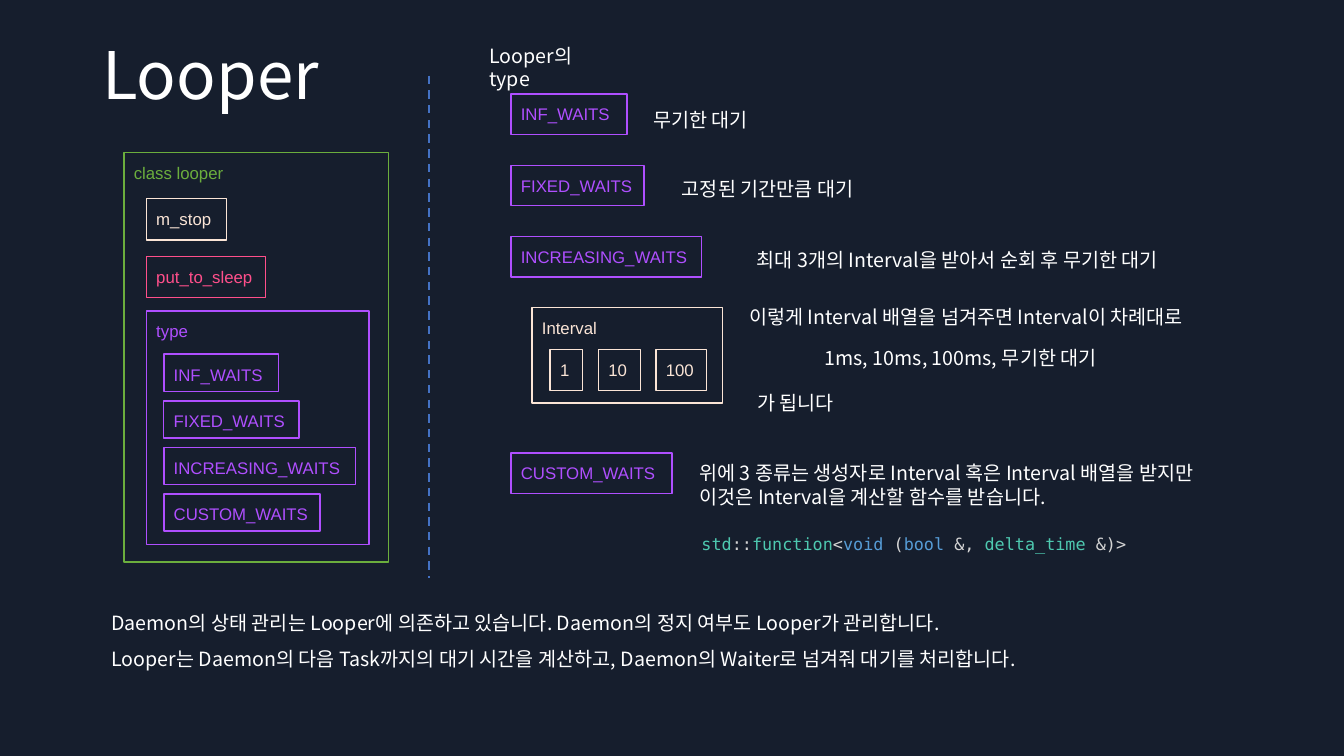
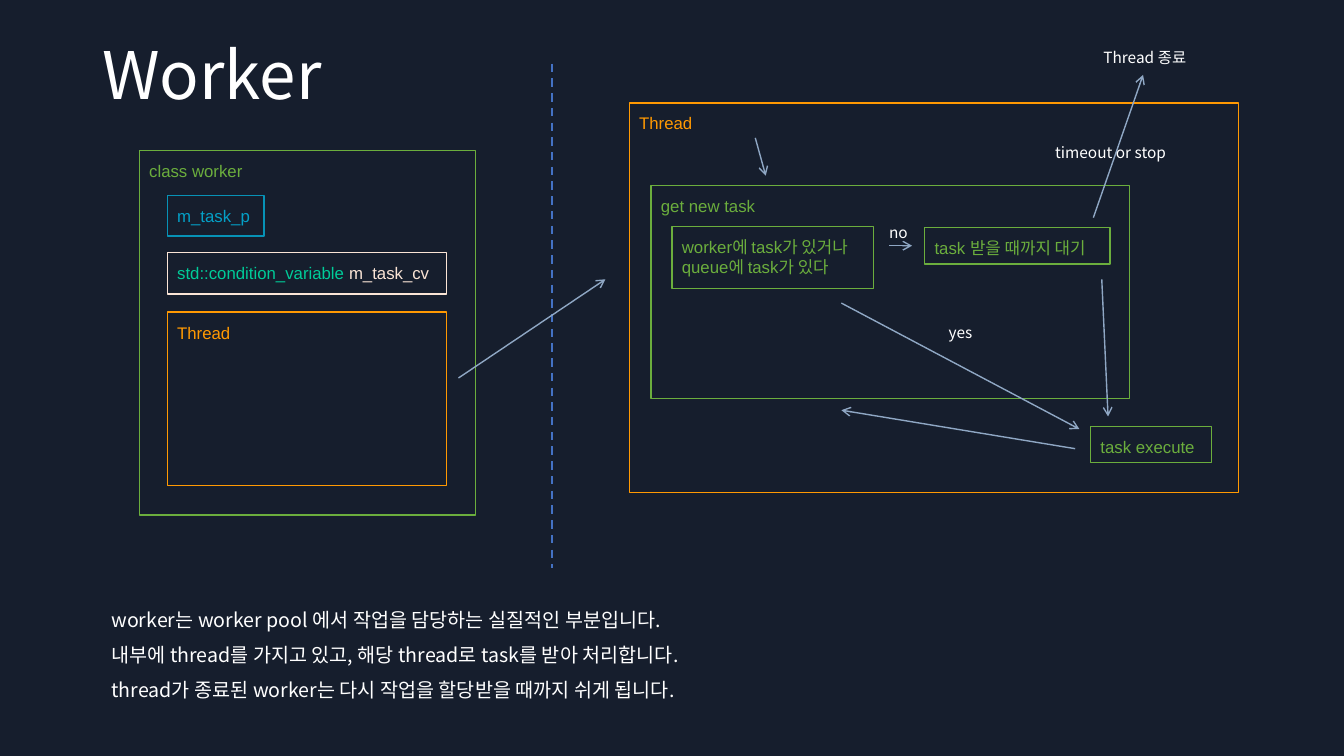
from dataclasses import dataclass

from lxml import etree
from pptx import Presentation
from pptx.dml.color import RGBColor
from pptx.enum import dml, shapes, text
from pptx.oxml import ns
from pptx.util import Pt


@dataclass(frozen=True)
class Theme:
    night: str = "161E2D"
    white: str = "FFFFFF"
    green: str = "6BAE3D"
    cream: str = "FBE5D6"
    pink: str = "FF4F8B"
    purple: str = "AF4FFF"
    orange: str = "FF9902"
    teal: str = "0792B6"
    cyan: str = "04A0C7"
    mint: str = "00CC99"
    blue: str = "4472C4"
    steel: str = "8FA7C4"
    code_plain: str = "D4D4D4"
    code_name: str = "4EC9B0"
    code_keyword: str = "569CD6"
    sans: str = "Noto Sans CJK KR"
    label: str = "Arial"
    mono: str = "DejaVu Sans Mono"
    title_size: float = 46.8
    text_size: float = 14
    label_size: float = 12
    caption_size: float = 11


THEME = Theme()


def apply(target, values):
    for name, value in values.items():
        setattr(target, name, value)


def add_element(parent, tag, **attributes):
    return etree.SubElement(parent, ns.qn(tag), attributes)


class SlideBuilder:
    def __init__(self, deck, theme):
        self.deck = deck
        self.theme = theme
        self.page = None

    def start(self, title, body, body_top):
        self.page = self.deck.slides.add_slide(self.deck.slide_layouts[6])
        fill = self.page.background.fill
        fill.solid()
        fill.fore_color.rgb = RGBColor.from_string(self.theme.night)
        self.text(66, 29, 828, [title], height=54.5, size=self.theme.title_size,
                  anchor=text.MSO_ANCHOR.BOTTOM, spacing={"line_spacing": 0.8})
        self.text(72.5, body_top, 828, body, height=78.5,
                  spacing={"line_spacing": 0.9, "space_before": Pt(10)})

    def add_lines(self, frame, lines, color, size, font, spacing):
        for index, line in enumerate(lines):
            para = frame.paragraphs[0] if index == 0 else frame.add_paragraph()
            apply(para, {"alignment": text.PP_ALIGN.LEFT, **spacing})
            spans = [(line, color)] if isinstance(line, str) else line
            for words, span_color in spans:
                for order, piece in enumerate(words.split("\n")):
                    if order:
                        para.add_line_break()
                    span = para.add_run()
                    span.text = piece
                    apply(span.font, {"name": font, "size": Pt(size)})
                    span.font.color.rgb = RGBColor.from_string(span_color)
                    add_element(span.font._element, "a:ea", typeface=self.theme.sans)

    def text(self, left, top, width, lines, height=24.5, size=None, font=None,
             anchor=text.MSO_ANCHOR.TOP, spacing=None):
        box = self.page.shapes.add_textbox(Pt(left), Pt(top), Pt(width), Pt(height))
        apply(box.text_frame, {"word_wrap": True, "vertical_anchor": anchor})
        self.add_lines(box.text_frame, lines, self.theme.white, size or self.theme.text_size,
                       font or self.theme.sans, spacing or {})

    def caption(self, left, top, width, words):
        self.text(left, top, width, [words], height=21, size=self.theme.caption_size)

    def box(self, left, top, width, height, label, color, text_color=None):
        box = self.page.shapes.add_shape(
            shapes.MSO_SHAPE.RECTANGLE, Pt(left), Pt(top), Pt(width), Pt(height))
        box.shadow.inherit = False
        box.fill.background()
        box.line.color.rgb = RGBColor.from_string(color)
        box.line.width = Pt(1)
        apply(box.text_frame, {"word_wrap": True, "margin_top": Pt(7.2),
                               "vertical_anchor": text.MSO_ANCHOR.TOP})
        self.add_lines(box.text_frame, [label], text_color or color,
                       self.theme.label_size, self.theme.label, {})

    def line(self, start, end, color, width):
        line = self.page.shapes.add_connector(
            shapes.MSO_CONNECTOR.STRAIGHT, *(Pt(value) for value in (*start, *end)))
        line.line.color.rgb = RGBColor.from_string(color)
        line.line.width = Pt(width)
        add_element(line._element.spPr, "a:effectLst")
        return line.line

    def divider(self, x, top, bottom):
        line = self.line((x, top), (x, bottom), self.theme.blue, 1.5)
        line.dash_style = dml.MSO_LINE.DASH

    def arrow(self, tip, tail):
        line = self.line(tip, tail, self.theme.steel, 1)
        add_element(line._get_or_add_ln(), "a:headEnd", type="arrow")


def build_looper(builder):
    theme = builder.theme
    builder.start("Looper", [
        "Daemon의 상태 관리는 Looper에 의존하고 있습니다. Daemon의 정지 여부도 Looper가 관리합니다.",
        "Looper는 Daemon의 다음 Task까지의 대기 시간을 계산하고, Daemon의 Waiter로 넘겨줘 대기를 처리합니다.",
    ], 435)
    builder.divider(306.5, 54, 413)

    builder.box(88.5, 109, 189, 292.5, "class looper", theme.green)
    builder.box(104.5, 142, 57.5, 29.5, "m_stop", theme.cream)
    builder.box(104.5, 183, 85, 29.5, "put_to_sleep", theme.pink)
    builder.box(104.5, 222, 159, 167, "type", theme.purple)

    wait_types = [
        ("INF_WAITS", 82, 67, 83),
        ("FIXED_WAITS", 96.5, 118, 95),
        ("INCREASING_WAITS", 137, 169, 136),
        ("CUSTOM_WAITS", 111.5, 323.5, 115),
    ]
    for index, (name, member_width, top, width) in enumerate(wait_types):
        builder.box(117, 253 + 33.3 * index, member_width, 26.5, name, theme.purple)
        builder.box(365, top, width, 29, name, theme.purple)

    builder.box(380, 219.5, 136, 68.5, "Interval", theme.cream)
    for left, width, value in [(393, 23, "1"), (427.5, 30, "10"), (468.5, 36, "100")]:
        builder.box(left, 249.5, width, 29.5, value, theme.cream)

    for left, top, width, *lines in [
        (342.5, 27.5, 105, "Looper의 type"),
        (459.5, 73.5, 85, "무기한 대기"),
        (480, 122.5, 142, "고정된 기간만큼 대기"),
        (533.5, 173.5, 314.5, "최대 3개의 Interval을 받아서 순회 후 무기한 대기"),
        (528, 214.5, 329, "이렇게 Interval 배열을 넘겨주면 Interval이 차례대로"),
        (582, 243.5, 217.5, "1ms, 10ms, 100ms, 무기한 대기"),
        (534, 276, 71.5, "가 됩니다"),
        (492.5, 326, 376, "위에 3 종류는 생성자로 Interval 혹은 Interval 배열을 받지만",
         "이것은 Interval을 계산할 함수를 받습니다."),
    ]:
        builder.text(left, top, width, lines)

    plain, name, keyword = theme.code_plain, theme.code_name, theme.code_keyword
    signature = [("std", name), ("::", plain), ("function", name), ("<", plain),
                 ("void", keyword), (" (", plain), ("bool", keyword), (" &, ", plain),
                 ("delta_time", name), (" &)>", plain)]
    builder.text(494, 377.5, 460, [signature], height=21.5,
                 size=theme.label_size, font=theme.mono)


def build_worker(builder):
    theme = builder.theme
    builder.start("Worker", [
        "worker는 worker pool 에서 작업을 담당하는 실질적인 부분입니다.",
        "내부에 thread를 가지고 있고, 해당 thread로 task를 받아 처리합니다.",
        "thread가 종료된 worker는 다시 작업을 할당받을 때까지 쉬게 됩니다.",
    ], 432.5)
    builder.divider(394, 45.5, 405.5)

    condition = [("std::condition_variable ", theme.mint), ("m_task_cv", theme.cream)]
    builder.box(99.5, 107.5, 240, 260.5, "class worker", theme.green)
    builder.box(119.5, 139.5, 69, 29, "m_task_p", theme.teal, theme.cyan)
    builder.box(119.5, 180.5, 199.5, 29.5, condition, theme.cream)
    builder.box(119.5, 223, 199.5, 124, "Thread", theme.orange)

    builder.box(449.5, 73.5, 435, 278.5, "Thread", theme.orange)
    for left, top, width, height, label in [
        (465, 132.5, 342, 152, "get new task"),
        (480, 162, 144, 44, "worker에 task가 있거나\nqueue에 task가 있다"),
        (660.5, 162.5, 132.5, 26, "task 받을 때까지 대기"),
        (779, 304.5, 86.5, 26, "task execute"),
    ]:
        builder.box(left, top, width, height, label, theme.green)

    for tip, tail in [
        ((432.5, 199.5), (327.5, 270)),
        ((547, 125.5), (539.5, 98.5)),
        ((651.5, 175.5), (635, 175.5)),
        ((771, 306.5), (601, 216.5)),
        ((791.5, 297.5), (787, 199.5)),
        ((816.5, 53.5), (781, 155.5)),
        ((601, 293), (768, 320.5)),
    ]:
        builder.arrow(tip, tail)

    for left, top, width, words in [
        (628, 155.5, 34, "no"),
        (670.5, 227.5, 34, "yes"),
        (781, 31, 74, "Thread 종료"),
        (746.5, 98.5, 96, "timeout or stop"),
    ]:
        builder.caption(left, top, width, words)


deck = Presentation()
apply(deck, {"slide_width": Pt(960), "slide_height": Pt(540)})
slide_builder = SlideBuilder(deck, THEME)
build_looper(slide_builder)
build_worker(slide_builder)
deck.save("out.pptx")
